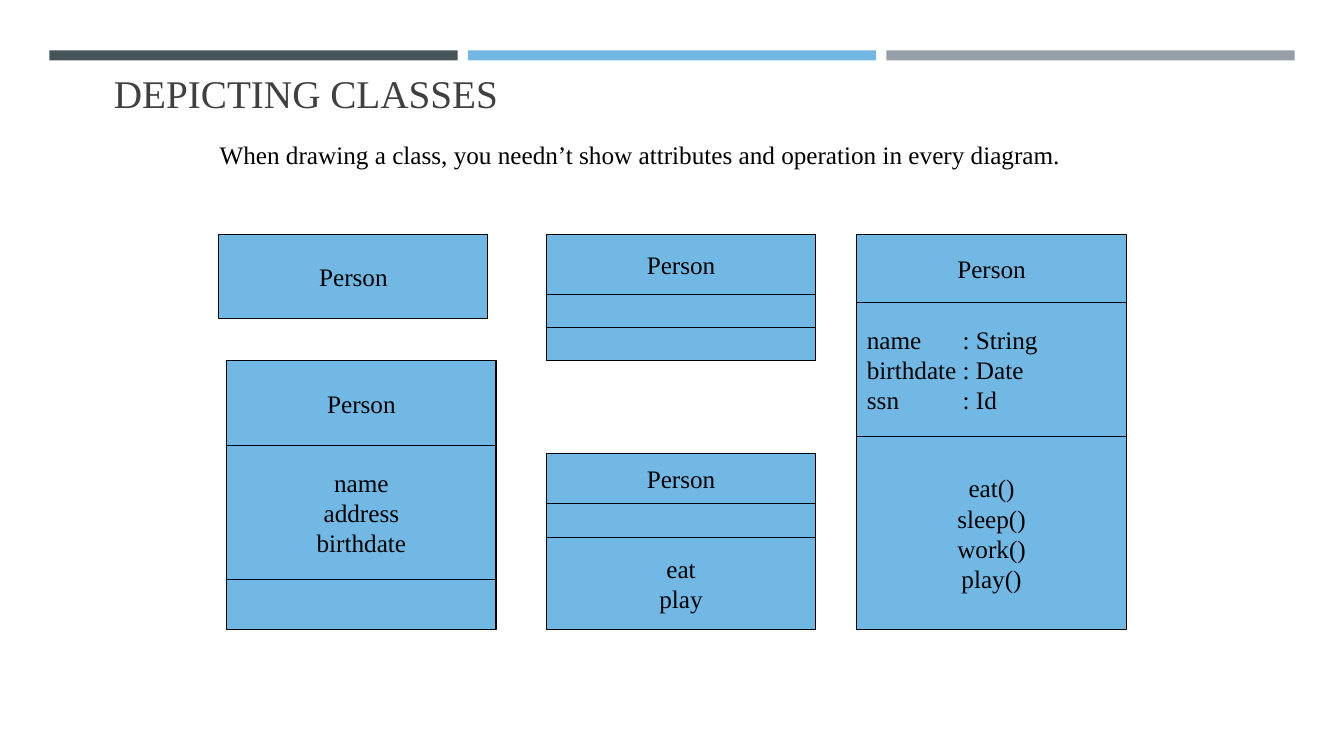
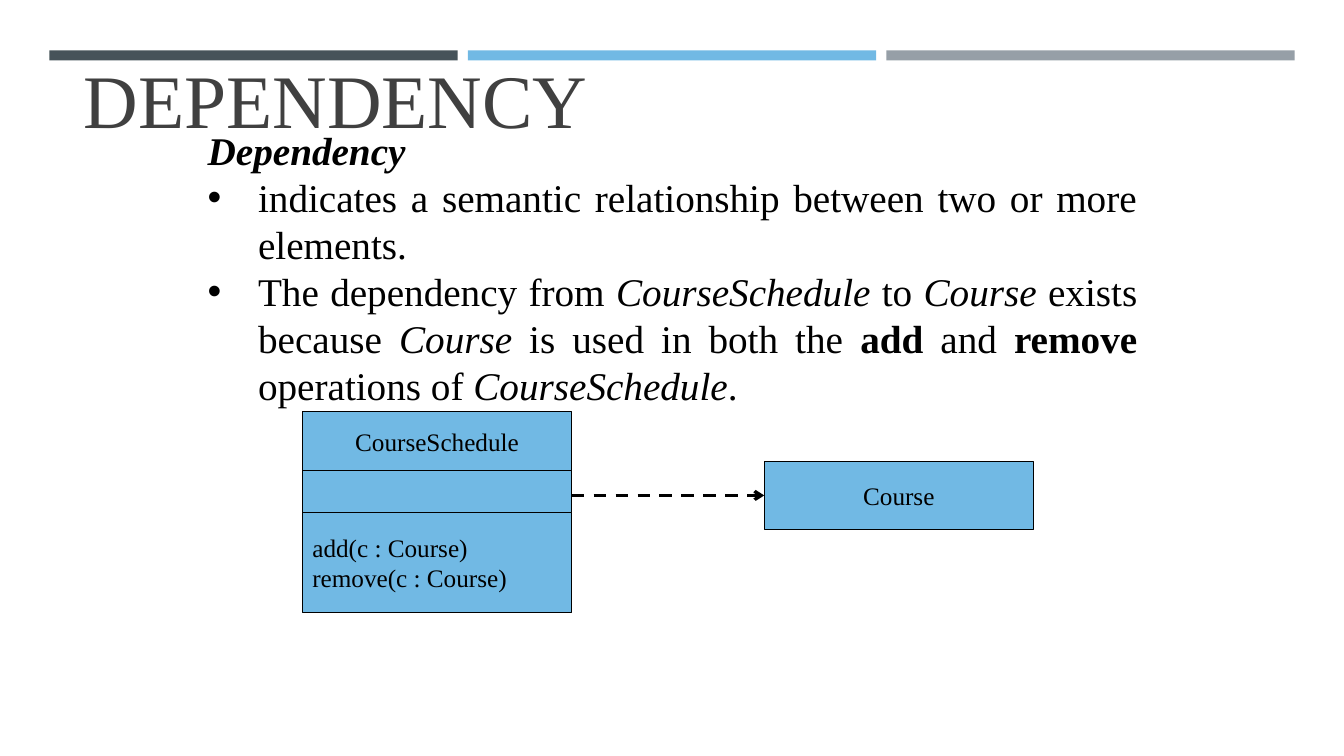
from lxml.etree import SubElement
from pptx import Presentation
from pptx.dml.color import RGBColor
from pptx.enum.dml import MSO_LINE
from pptx.enum.shapes import MSO_CONNECTOR, MSO_SHAPE
from pptx.enum.text import MSO_ANCHOR, MSO_AUTO_SIZE, PP_ALIGN
from pptx.oxml.ns import qn
from pptx.util import Inches, Pt

SLATE = RGBColor(0x46, 0x53, 0x59)
BLUE = RGBColor(0x71, 0xB9, 0xE4)
GREY = RGBColor(0x96, 0x9F, 0xA7)
TITLE_GREY = RGBColor(0x40, 0x40, 0x40)
BLACK = RGBColor(0, 0, 0)
FONT = "Times New Roman"
CLASS_WIDTH = 2.67
TYPE_TAB = 0.95


def put_text(frame, text, size=18, color=BLACK, align=PP_ALIGN.LEFT,
             anchor=MSO_ANCHOR.TOP, tab=None, bullets_from=None):
    """Fill a frame; text is a string or a list of paragraphs, each a list of (words, style)."""
    frame.word_wrap = True
    frame.auto_size = MSO_AUTO_SIZE.NONE
    frame.vertical_anchor = anchor
    if isinstance(text, str):
        text = [[(line, "")] for line in text.split("\n")]
    for index, runs in enumerate(text):
        paragraph = frame.paragraphs[0] if index == 0 else frame.add_paragraph()
        paragraph.alignment = align
        paragraph.space_before = Pt(0)
        props = paragraph._p.get_or_add_pPr()
        if bullets_from is not None:
            bulleted = index >= bullets_from
            props.set("marL", str(Inches(0.5 if bulleted else 0)))
            props.set("indent", str(Inches(-0.5 if bulleted else 0)))
            if bulleted:
                SubElement(props, qn("a:buFont"), typeface="Arial")
                SubElement(props, qn("a:buChar"), char="•")
            else:
                SubElement(props, qn("a:buNone"))
        if tab:
            stops = SubElement(props, qn("a:tabLst"))
            SubElement(stops, qn("a:tab"), pos=str(Inches(tab)), algn="l")
        for words, style in runs:
            run = paragraph.add_run()
            run.text = words
            run.font.name = FONT
            run.font.size = Pt(size)
            run.font.color.rgb = color
            run.font.bold = "b" in style
            run.font.italic = "i" in style


def draw_class(slide, left, top, *compartments):
    """Stack compartments given as (height, text, text format); return the last one."""
    for height, text, text_format in compartments:
        box = slide.shapes.add_shape(MSO_SHAPE.RECTANGLE, Inches(left), Inches(top),
                                     Inches(CLASS_WIDTH), Inches(height))
        box.shadow.inherit = False
        box.fill.solid()
        box.fill.fore_color.rgb = BLUE
        box.line.color.rgb = BLACK
        box.line.width = Pt(0.75)
        if text:
            put_text(box.text_frame, text, anchor=MSO_ANCHOR.MIDDLE, **text_format)
        top += height
    return box


CENTER = {"align": PP_ALIGN.CENTER}
LEFT = {"align": PP_ALIGN.LEFT}

prs = Presentation()
prs.slide_width, prs.slide_height = Inches(13.33), Inches(7.5)
classes = prs.slides.add_slide(prs.slide_layouts[5])
dependency = prs.slides.add_slide(prs.slide_layouts[1])

# Bands, held by the slide master
for column, color in enumerate((SLATE, BLUE, GREY)):
    band = classes.shapes.add_shape(MSO_SHAPE.RECTANGLE, Inches(0.49 + 4.15 * column),
                                    Inches(0.5), Inches(4.05), Inches(0.1))
    band.shadow.inherit = False
    band.fill.solid()
    band.fill.fore_color.rgb = color
    band.line.fill.background()
    prs.slide_master.shapes._spTree.append(band._element)

# Titles
for slide, text, size, left, top, width in (
        (classes, "DEPICTING CLASSES", 28, 1.03, 0.62, 11.44),
        (dependency, "DEPENDENCY", 54, 0.73, 0.9, 8.58)):
    title = slide.shapes.title
    title.left, title.top = Inches(left), Inches(top)
    title.width, title.height = Inches(width), Inches(0.58)
    put_text(title.text_frame, text, size=size, color=TITLE_GREY, anchor=MSO_ANCHOR.BOTTOM)

# Slide 1: ways of drawing one class
remark = classes.shapes.add_textbox(Inches(2.08), Inches(1.33), Inches(9.13), Inches(0.4))
put_text(remark.text_frame,
         "When drawing a class, you needn’t show attributes and operation in every diagram.")

draw_class(classes, 2.17, 2.33, (0.83, "Person", CENTER))
draw_class(classes, 2.25, 3.58,
           (0.84, "Person", CENTER),
           (1.33, "name\naddress\nbirthdate", CENTER),
           (0.5, "", CENTER))
draw_class(classes, 5.42, 2.33,
           (0.59, "Person", CENTER), (0.33, "", CENTER), (0.33, "", CENTER))
draw_class(classes, 5.42, 4.5,
           (0.5, "Person", CENTER), (0.33, "", CENTER), (0.92, "eat\nplay", CENTER))
draw_class(classes, 8.5, 2.33,
           (0.67, "Person", CENTER),
           (1.33, "name\t: String\nbirthdate\t: Date\nssn\t: Id", {"tab": TYPE_TAB}),
           (1.92, "eat()\nsleep()\nwork()\nplay()", CENTER))

# Slide 2: explanation
explanation = dependency.placeholders[1]
explanation.left, explanation.top = Inches(1.96), Inches(1.2)
explanation.width, explanation.height = Inches(9.42), Inches(3.4)
put_text(explanation.text_frame, [
    [("Dependency", "bi")],
    [("indicates a semantic relationship between two or more elements.", "")],
    [("The dependency from ", ""), ("CourseSchedule", "i"), (" to ", ""), ("Course", "i"),
     (" exists because ", ""), ("Course", "i"), (" is used in both the ", ""),
     ("add", "b"), (" and ", ""), ("remove", "b"), (" operations of ", ""),
     ("CourseSchedule", "i"), (".", "")],
], size=28, align=PP_ALIGN.JUSTIFY, bullets_from=1)

# Slide 2: class diagram
draw_class(dependency, 3, 4.08,
           (0.59, "CourseSchedule", CENTER),
           (0.41, "", CENTER),
           (1, "add(c : Course)\nremove(c : Course)", LEFT))
course = draw_class(dependency, 7.58, 4.58, (0.67, "Course", CENTER))

course_middle = course.top + course.height // 2
uses = dependency.shapes.add_connector(MSO_CONNECTOR.STRAIGHT, Inches(3 + CLASS_WIDTH),
                                       course_middle, course.left, course_middle)
uses.end_connect(course, 1)
uses.line.color.rgb = BLACK
uses.line.width = Pt(2.25)
uses.line.dash_style = MSO_LINE.DASH
SubElement(uses.line._get_or_add_ln(), qn("a:tailEnd"), type="arrow")
SubElement(uses._element.spPr, qn("a:effectLst"))

prs.save("out.pptx")
